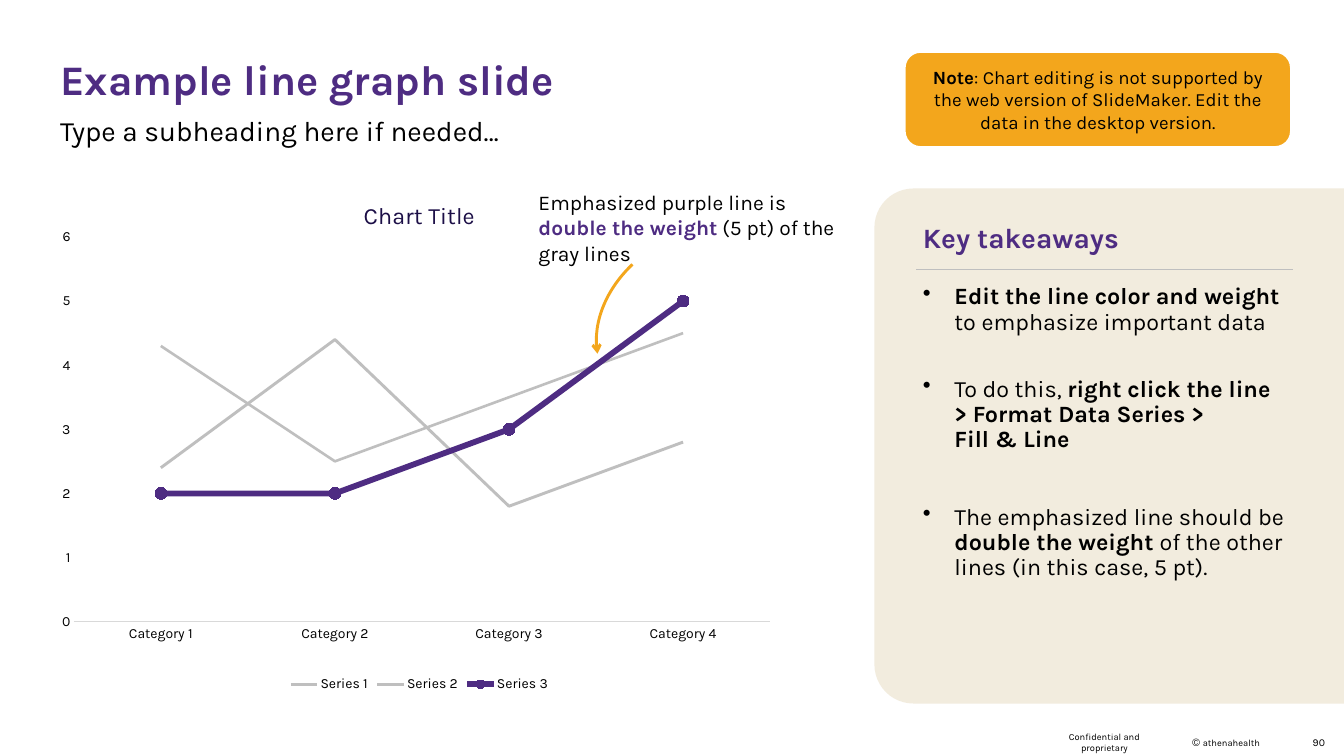
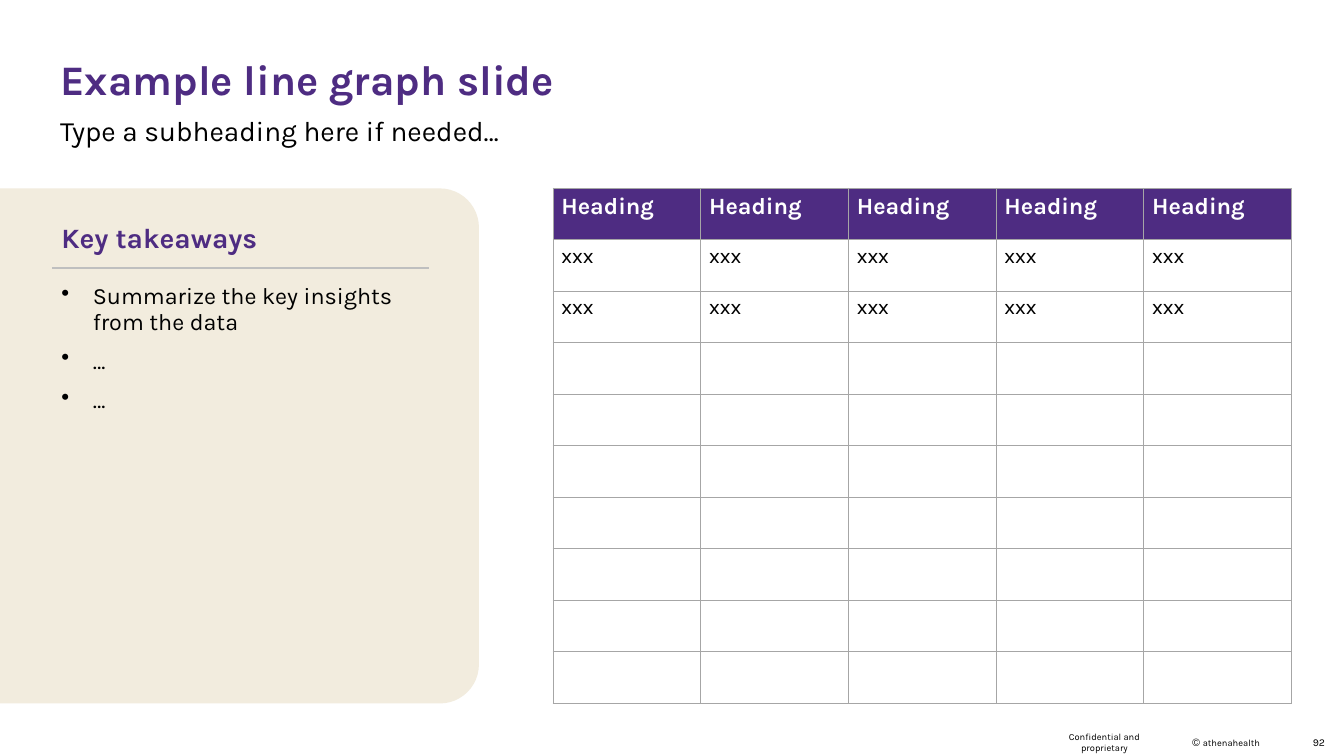
from lxml.etree import SubElement
from pptx import Presentation
from pptx.chart.data import CategoryChartData
from pptx.dml.color import RGBColor
from pptx.enum.chart import XL_CHART_TYPE, XL_LEGEND_POSITION, XL_MARKER_STYLE, XL_TICK_MARK
from pptx.enum.shapes import MSO_CONNECTOR, MSO_SHAPE
from pptx.enum.text import MSO_ANCHOR, MSO_AUTO_SIZE, PP_ALIGN
from pptx.oxml import parse_xml
from pptx.oxml.ns import nsdecls, qn
from pptx.util import Pt

COLORS = {name: RGBColor.from_string(value) for name, value in {
    "purple": "4E2C82", "navy": "1C0F47", "orange": "F3A61C", "sand": "F2ECDE",
    "black": "000000", "white": "FFFFFF", "gray": "BFBFBF", "axis": "D9D9D9",
    "border": "A6A6A6"}.items()}
FONT = "Karla"

# Text styles: size, bold, colour
STYLES = {
    "title": (36, True, "purple"),
    "subheading": (24, False, "black"),
    "takeaways": (24, True, "purple"),
    "point": (20, False, "black"),
    "point strong": (20, True, "black"),
    "callout": (18, False, "black"),
    "callout strong": (18, True, "purple"),
    "note": (16, False, "black"),
    "note strong": (16, True, "black"),
    "heading cell": (20, True, "white"),
    "body cell": (18, False, "black"),
    "copyright sign": (10, False, "black"),
    "page number": (9, False, "black"),
    "footer": (8, False, "black"),
    "chart": (12, False, "black"),
    "chart title": (20, False, "navy"),
}


def set_font(font, style):
    size, bold, color = STYLES[style]
    for attribute, value in {"name": FONT, "size": Pt(size), "bold": bold}.items():
        setattr(font, attribute, value)
    font.color.rgb = COLORS[color]


def write(frame, paragraphs, bullets=False, **formats):
    """Fill a frame with paragraphs of (text, style) runs; newlines become line breaks."""
    frame.word_wrap = True
    frame.auto_size = MSO_AUTO_SIZE.NONE
    for index, runs in enumerate(paragraphs):
        paragraph = frame.add_paragraph() if index else frame.paragraphs[0]
        if bullets:
            properties = paragraph._p.get_or_add_pPr()
            properties.set("marL", str(Pt(27)))
            properties.set("indent", str(-Pt(27)))
            SubElement(properties, qn("a:buChar"), char="•")
        for attribute, value in formats.items():
            setattr(paragraph, attribute, value)
        for text, style in runs:
            for line_number, line in enumerate(text.split("\n")):
                if line_number:
                    paragraph.add_line_break()
                run = paragraph.add_run()
                run.text = line
                set_font(run.font, style)


presentation = Presentation()
presentation.slide_width, presentation.slide_height = Pt(1152), Pt(648)

# What differs between the two slides: page, panel, divider, takeaways
SLIDES = [
    {"page": "90", "panel_left": 738, "panel_turn": 270, "text_left": 784,
     "divider": (785.5, 1108, 231), "gaps": (0, 36, 45), "points": [
         [("Edit the line color and weight ", "point strong"),
          ("to emphasize important data", "point")],
         [("To do this, ", "point"),
          ("right click the line > Format Data Series > \nFill & Line", "point strong")],
         [("The emphasized line should be ", "point"),
          ("double the weight ", "point strong"),
          ("of the other lines (in this case, 5 pt).", "point")]]},
    {"page": "92", "panel_left": -19.5, "panel_turn": 90, "text_left": 45.5,
     "divider": (44.5, 368, 229.5), "gaps": (0, 12, 12), "points": [
         [("Summarize the key insights from the data", "point")],
         [("…", "point")],
         [("…", "point")]]},
]

for content in SLIDES:
    slide = presentation.slides.add_slide(presentation.slide_layouts[5])
    shapes = slide.shapes

    # Title and subheading
    title = shapes.title
    title.left, title.top, title.width, title.height = Pt(44.5), Pt(42), Pt(1062), Pt(51)
    title.text_frame.vertical_anchor = MSO_ANCHOR.TOP
    write(title.text_frame, [[("Example line graph slide", "title")]], alignment=PP_ALIGN.LEFT)
    subheading = shapes.add_textbox(Pt(44.5), Pt(97), Pt(1060), Pt(34))
    write(subheading.text_frame, [[("Type a subheading here if needed…", "subheading")]],
          line_spacing=0.9)

    # Takeaways panel, rounded on its inner side
    panel = shapes.add_shape(MSO_SHAPE.ROUND_2_SAME_RECTANGLE, Pt(content["panel_left"]),
                             Pt(173), Pt(441.5), Pt(418.5))
    panel.rotation = content["panel_turn"]
    panel.adjustments[0] = 0.08
    panel.shadow.inherit = False
    panel.fill.solid()
    panel.fill.fore_color.rgb = COLORS["sand"]
    panel.line.fill.background()

    takeaways = shapes.add_textbox(Pt(content["text_left"]), Pt(188.5), Pt(324), Pt(34))
    write(takeaways.text_frame, [[("Key takeaways", "takeaways")]], line_spacing=0.9)
    points = shapes.add_textbox(Pt(content["text_left"]), Pt(240.5), Pt(324), Pt(355))
    write(points.text_frame, content["points"], bullets=True, line_spacing=0.9)
    for paragraph, gap in zip(points.text_frame.paragraphs, content["gaps"]):
        paragraph.space_before = Pt(gap)

    start, end, height = content["divider"]
    divider = shapes.add_connector(MSO_CONNECTOR.STRAIGHT, Pt(start), Pt(height), Pt(end), Pt(height))
    divider.line.color.rgb = COLORS["gray"]
    divider.line.width = Pt(1.5)
    SubElement(divider._element.spPr, qn("a:effectLst"))

    # Footer
    for left, width, margin, runs in (
            (887, 119.5, 10, [("Confidential and proprietary", "footer")]),
            (993.5, 115, 10, [("© ", "copyright sign"), ("athenahealth", "footer")]),
            (1109, 43, 7.2, [(content["page"], "page number")])):
        footer = shapes.add_textbox(Pt(left), Pt(624), Pt(width), Pt(24)).text_frame
        footer.margin_left = footer.margin_right = Pt(margin)
        footer.vertical_anchor = MSO_ANCHOR.MIDDLE
        write(footer, [runs], alignment=PP_ALIGN.CENTER)

graph_slide, table_slide = presentation.slides

# Line graph
graph_data = CategoryChartData()
graph_data.categories = [f"Category {number}" for number in range(1, 5)]
for number, values in enumerate([(4.3, 2.5, 3.5, 4.5), (2.4, 4.4, 1.8, 2.8), (2, 2, 3, 5)], 1):
    graph_data.add_series(f"Series {number}", values)
graph = graph_slide.shapes.add_chart(XL_CHART_TYPE.LINE_MARKERS, Pt(43), Pt(155), Pt(633),
                                     Pt(441.5), graph_data).chart
set_font(graph.font, "chart")
graph.has_title = True
graph.chart_title.include_in_layout = False
graph_title = graph.chart_title.text_frame.paragraphs[0].add_run()
graph_title.text = "Chart Title"
set_font(graph_title.font, "chart title")
graph.has_legend = True
graph.legend.position = XL_LEGEND_POSITION.BOTTOM
graph.legend.include_in_layout = False
set_font(graph.legend.font, "chart")

for axis in (graph.category_axis, graph.value_axis):
    axis.major_tick_mark = axis.minor_tick_mark = XL_TICK_MARK.NONE
    axis.has_major_gridlines = False
    set_font(axis.tick_labels.font, "chart")
graph.category_axis.format.line.color.rgb = COLORS["axis"]
graph.category_axis.format.line.width = Pt(0.75)
graph.value_axis.format.line.fill.background()
for attribute, value in {"minimum_scale": 0, "maximum_scale": 6, "major_unit": 1}.items():
    setattr(graph.value_axis, attribute, value)

plot = graph.plots[0]
plot.vary_by_categories = False
for series, color, weight, marker in zip(
        plot.series, ("gray", "gray", "purple"), (2.25, 2.5, 5),
        (XL_MARKER_STYLE.NONE, XL_MARKER_STYLE.NONE, XL_MARKER_STYLE.CIRCLE)):
    series.smooth = False
    series.format.line.color.rgb = COLORS[color]
    series.format.line.width = Pt(weight)
    series.marker.style = marker
    if marker == XL_MARKER_STYLE.CIRCLE:
        series.marker.size = 10
        series.marker.format.fill.solid()
        series.marker.format.fill.fore_color.rgb = COLORS[color]
        series.marker.format.line.color.rgb = COLORS[color]

# Fixed inner plot area
plot_area = graph._chartSpace.chart.plotArea
for layout in plot_area.findall(qn("c:layout")):
    plot_area.remove(layout)
plot_area.insert(0, parse_xml(
    f'<c:layout {nsdecls("c")}><c:manualLayout><c:layoutTarget val="inner"/>'
    '<c:xMode val="edge"/><c:yMode val="edge"/><c:x val="0.032"/><c:y val="0.109"/>'
    '<c:w val="0.943"/><c:h val="0.747"/></c:manualLayout></c:layout>'))

# Curved arrow from the callout down to the purple line
arrow = graph_slide.shapes.add_shape(MSO_SHAPE.ARC, Pt(504.72), Pt(204.48), Pt(177.84), Pt(138.96))
arrow._element.spPr.xfrm.set("flipH", "1")
arrow.rotation = 323.3
for index, degrees in enumerate((280.69, 343.01)):
    arrow.adjustments[index] = degrees * 0.6
arrow.shadow.inherit = False
arrow.fill.background()
arrow.line.color.rgb = COLORS["orange"]
arrow.line.width = Pt(2.5)
SubElement(arrow.line._get_or_add_ln(), qn("a:tailEnd"), type="arrow")

callout = graph_slide.shapes.add_textbox(Pt(454.5), Pt(159), Pt(274.5), Pt(51))
write(callout.text_frame, [[("Emphasized purple line is ", "callout"),
                            ("double the weight", "callout strong"),
                            (" (5 pt) of the gray lines", "callout")]])

# Editing note
note = graph_slide.shapes.add_shape(MSO_SHAPE.ROUNDED_RECTANGLE, Pt(775.5), Pt(44.5), Pt(331), Pt(81.5))
note.shadow.inherit = False
note.fill.solid()
note.fill.fore_color.rgb = COLORS["orange"]
note.line.color.rgb = COLORS["white"]
note.line.width = Pt(1.5)
note.text_frame.vertical_anchor = MSO_ANCHOR.MIDDLE
write(note.text_frame, [[("Note", "note strong"),
                         (": Chart editing is not supported by the web version of SlideMaker. "
                          "Edit the data in the desktop version.", "note")]],
      alignment=PP_ALIGN.CENTER)

# Data table
ROWS, COLUMNS, ROW_HEIGHT, COLUMN_WIDTH = 10, 5, 44.14, 126.6
table = table_slide.shapes.add_table(ROWS, COLUMNS, Pt(474), Pt(161.5), Pt(COLUMNS * COLUMN_WIDTH),
                                     Pt(ROWS * ROW_HEIGHT)).table
table.horz_banding = False
for column in table.columns:
    column.width = Pt(COLUMN_WIDTH)
row_texts = ["Heading", "xxx", "xxx"] + [""] * (ROWS - 3)
for row_number, (row, text) in enumerate(zip(table.rows, row_texts)):
    row.height = Pt(ROW_HEIGHT)
    style, fill = ("body cell", "white") if row_number else ("heading cell", "purple")
    for cell in row.cells:
        for side in ("lnL", "lnR", "lnT", "lnB"):
            cell._tc.get_or_add_tcPr().append(parse_xml(
                f'<a:{side} {nsdecls("a")} w="{Pt(1)}"><a:solidFill>'
                f'<a:srgbClr val="{COLORS["border"]}"/></a:solidFill></a:{side}>'))
        cell.fill.solid()
        cell.fill.fore_color.rgb = COLORS[fill]
        if text:
            run = cell.text_frame.paragraphs[0].add_run()
            run.text = text
            set_font(run.font, style)

presentation.save("out.pptx")
